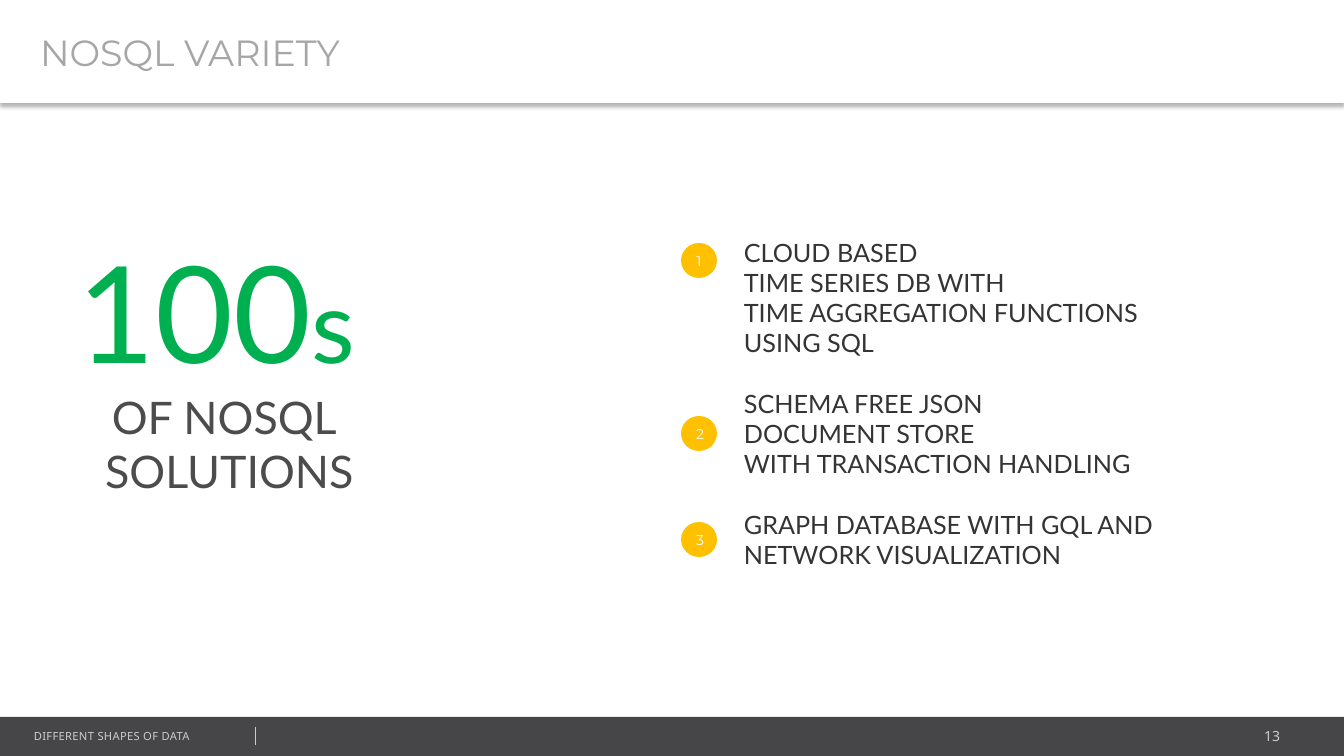
from lxml.etree import SubElement
from pptx import Presentation
from pptx.dml.color import RGBColor
from pptx.enum.shapes import MSO_CONNECTOR, MSO_SHAPE
from pptx.enum.text import MSO_ANCHOR, MSO_AUTO_SIZE, PP_ALIGN
from pptx.oxml.ns import qn
from pptx.util import Pt

SCALE = 914400 / 100.8
COLORS = {
    "white": "FFFFFF", "bar": "464547", "muted": "CCCCCC", "title": "A6A6A6",
    "green": "00B050", "caption": "4C4C4C", "body": "353435", "badge": "FFC000",
    "shadow": "000000",
}
LINE_HEIGHT = Pt(21.6)
FEATURES = [
    ["CLOUD BASED", "TIME SERIES DB WITH ", "TIME AGGREGATION FUNCTIONS", "USING SQL"],
    ["SCHEMA FREE JSON ", "DOCUMENT STORE", "WITH TRANSACTION HANDLING "],
    ["GRAPH DATABASE WITH GQL AND ", "NETWORK VISUALIZATION "],
]
BADGE_TOPS = [243, 416, 522]


def px(length):
    return round(length * SCALE)


def color(name):
    return RGBColor.from_string(COLORS[name])


def apply(target, values):
    for name, value in values.items():
        setattr(target, name, value)


def place(shape, left, top, width, height):
    apply(shape, {"left": px(left), "top": px(top),
                  "width": px(width), "height": px(height)})


def add_span(para, text, size, font, color_name):
    span = para.add_run()
    span.text = text
    apply(span.font, {"size": Pt(size), "name": font})
    span.font.color.rgb = color(color_name)
    return span


def next_para(frame, index, **values):
    para = frame.add_paragraph() if index else frame.paragraphs[0]
    apply(para, values)
    return para


def add_box(page, area, wrap=True):
    box = page.shapes.add_textbox(*map(px, area))
    box.text_frame.word_wrap = wrap
    return box.text_frame


def add_shape(page, kind, area, fill):
    shape = page.shapes.add_shape(kind, *map(px, area))
    shape.shadow.inherit = False
    shape.fill.solid()
    shape.fill.fore_color.rgb = color(fill)
    shape.line.fill.background()
    return shape


def add_title(page, text):
    title = page.shapes.title
    place(title, 0, 0, 1344, 103)
    title.fill.solid()
    title.fill.fore_color.rgb = color("white")
    apply(title.text_frame, {
        "word_wrap": True, "auto_size": MSO_AUTO_SIZE.NONE,
        "vertical_anchor": MSO_ANCHOR.MIDDLE, "margin_left": px(40),
        "margin_right": px(10), "margin_top": px(5), "margin_bottom": px(5)})
    para = next_para(title.text_frame, 0, alignment=PP_ALIGN.LEFT)
    add_span(para, text, 26, "Montserrat", "title")
    effects = SubElement(title._element.spPr, qn("a:effectLst"))
    shadow = SubElement(effects, qn("a:outerShdw"), blurRad=str(Pt(3.1)),
                        dist=str(Pt(2)), dir="5400000", algn="t", rotWithShape="0")
    tint = SubElement(shadow, qn("a:srgbClr"), val=COLORS["shadow"])
    SubElement(tint, qn("a:alpha"), val="30000")


def add_footer(page, text, number):
    add_shape(page, MSO_SHAPE.RECTANGLE, (0, 717, 1344, 40), "bar")
    para = next_para(add_box(page, (1070, 723, 220, 27)), 0, alignment=PP_ALIGN.RIGHT)
    add_span(para, number, 10, "Noto Sans", "muted")
    para = next_para(add_box(page, (24, 724, 341, 24)), 0)
    label = add_span(para, text, 8, "Noto Sans", "muted")
    label._r.get_or_add_rPr().set("spc", "20")
    divider = page.shapes.add_connector(
        MSO_CONNECTOR.STRAIGHT, px(255), px(727), px(255), px(745))
    divider.line.color.rgb = color("muted")
    divider.line.width = Pt(0.25)
    SubElement(divider._element.spPr, qn("a:effectLst"))


def add_headline(page):
    frame = add_box(page, (61, 224, 337, 280), wrap=False)
    lines = [
        [("100", 96, "green"), ("s ", 72, "green")],
        [("OF NOSQL ", 32, "caption")],
        [("SOLUTIONS", 32, "caption")],
    ]
    for index, parts in enumerate(lines):
        para = next_para(frame, index, alignment=PP_ALIGN.CENTER)
        for text, size, color_name in parts:
            add_span(para, text, size, "Lato", color_name)


def add_features(page):
    frame = add_box(page, (734, 232, 444, 346))
    count = 0
    for group in FEATURES:
        for position, text in enumerate(group):
            gap = LINE_HEIGHT if count and position == 0 else 0
            para = next_para(frame, count, space_before=gap)
            add_span(para, text, 18, "Lato", "body")
            count += 1


def add_badge(page, number, top):
    badge = add_shape(page, MSO_SHAPE.OVAL, (681, top, 36, 35), "badge")
    frame = badge.text_frame
    apply(frame, {"vertical_anchor": MSO_ANCHOR.MIDDLE, "word_wrap": True})
    para = next_para(frame, 0, alignment=PP_ALIGN.CENTER)
    add_span(para, str(number), 10, "Montserrat", "white")


def main():
    deck = Presentation()
    apply(deck, {"slide_width": px(1344), "slide_height": px(756)})
    page = deck.slides.add_slide(deck.slide_layouts[5])
    add_title(page, "NOSQL VARIETY")
    add_footer(page, "DIFFERENT SHAPES OF DATA", "13")
    add_headline(page)
    add_features(page)
    for number, top in enumerate(BADGE_TOPS, 1):
        add_badge(page, number, top)
    deck.save("out.pptx")


main()
